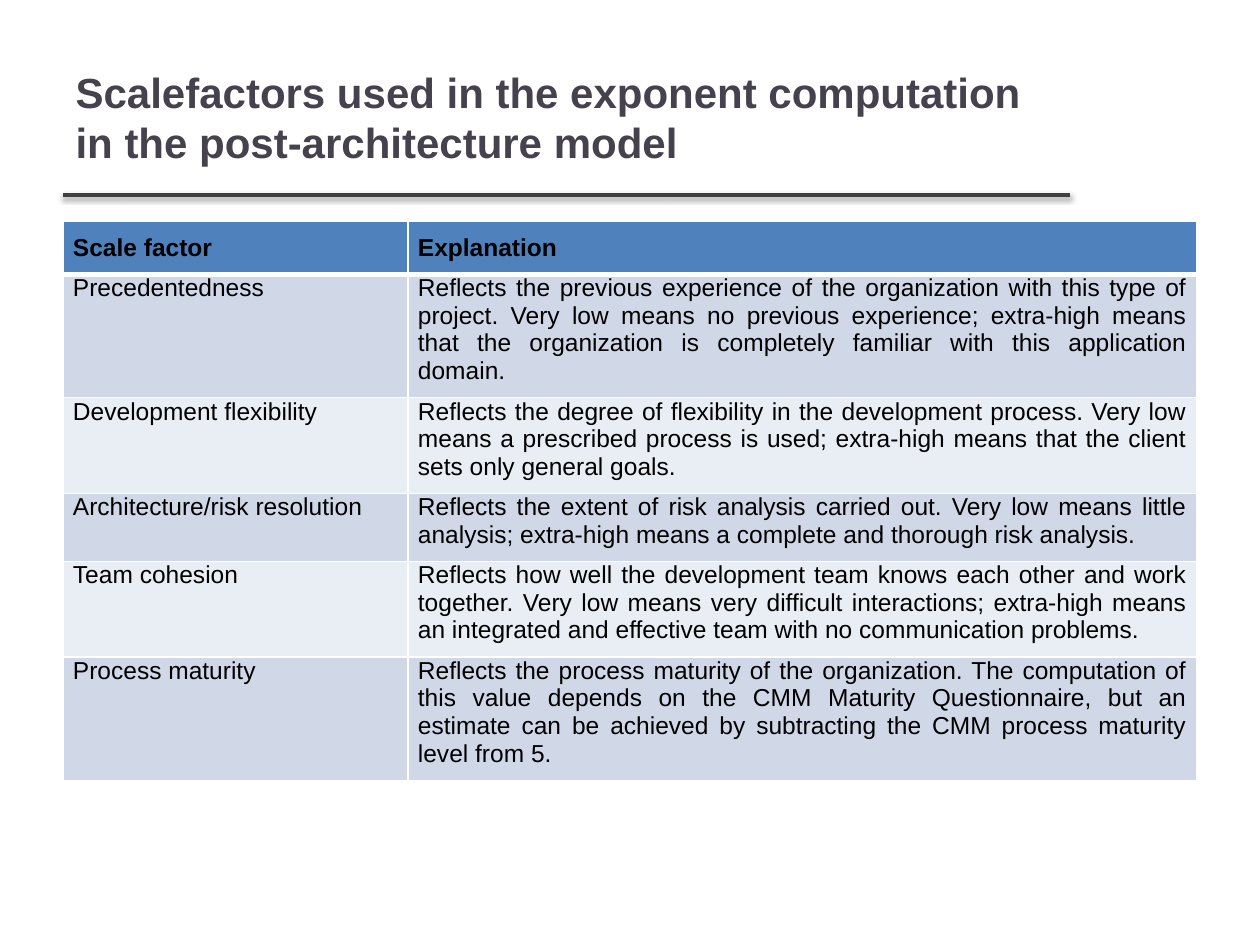
from dataclasses import dataclass

from lxml import etree
from pptx import Presentation
from pptx import util as u
from pptx.dml.color import RGBColor
from pptx.enum import shapes, text
from pptx.oxml import parse_xml
from pptx.oxml.ns import nsdecls, qn

PIXELS_PER_INCH = 126
FONT = "Arial"
LEFT = 63
ROW_HEIGHT = 52
COLUMN_WIDTHS = (345, 789)
HEADER_FILL = "4F81BD"
BAND_FILLS = ("D0D8E8", "E9EDF4")


@dataclass(frozen=True)
class ScaleFactor:
    name: str
    explanation: str


HEADER = ScaleFactor("Scale factor", "Explanation")
FACTORS = (
    ScaleFactor(
        "Precedentedness",
        "Reflects the previous experience of the organization with this type of project. "
        "Very low means no previous experience; extra-high means that the organization is "
        "completely familiar with this application domain.",
    ),
    ScaleFactor(
        "Development flexibility",
        "Reflects the degree of flexibility in the development process. Very low means a "
        "prescribed process is used; extra-high means that the client sets only general goals.",
    ),
    ScaleFactor(
        "Architecture/risk resolution",
        "Reflects the extent of risk analysis carried out. Very low means little analysis; "
        "extra-high means a complete and thorough risk analysis.",
    ),
    ScaleFactor(
        "Team cohesion",
        "Reflects how well the development team knows each other and work together. Very low "
        "means very difficult interactions; extra-high means an integrated and effective team "
        "with no communication problems.",
    ),
    ScaleFactor(
        "Process maturity",
        "Reflects the process maturity of the organization. The computation of this value "
        "depends on the CMM Maturity Questionnaire, but an estimate can be achieved by "
        "subtracting the CMM process maturity level from 5.",
    ),
)


def px(length: int) -> int:
    return round(length * u.Inches(1) / PIXELS_PER_INCH)


def color(value: str) -> RGBColor:
    return RGBColor.from_string(value)


def style(paragraph, size: int, hex_color: str, bold: bool, align) -> None:
    paragraph.alignment = align
    paragraph.font.name = FONT
    paragraph.font.size = u.Pt(size)
    paragraph.font.bold = bold
    paragraph.font.color.rgb = color(hex_color)


def set_borders(cell, top: int, bottom: int) -> None:
    properties = cell._tc.get_or_add_tcPr()
    widths = {"lnL": 1, "lnR": 1, "lnT": top, "lnB": bottom}
    for position, (side, width) in enumerate(widths.items()):
        border = parse_xml(
            f'<a:{side} {nsdecls("a")} w="{u.Pt(width)}"><a:solidFill>'
            f'<a:srgbClr val="FFFFFF"/></a:solidFill></a:{side}>'
        )
        properties.insert(position, border)


def add_title(slide, wording: str) -> None:
    title = slide.shapes.title
    title.left, title.top, title.width, title.height = map(px, (LEFT, 38, 1006, 157))
    frame = title.text_frame
    frame.text = wording
    frame.word_wrap = True
    frame.auto_size = text.MSO_AUTO_SIZE.NONE
    frame.vertical_anchor = text.MSO_ANCHOR.MIDDLE
    style(frame.paragraphs[0], 24, "46424D", True, text.PP_ALIGN.LEFT)


def add_title_rule(slide) -> None:
    rule = slide.shapes.add_connector(
        shapes.MSO_CONNECTOR.STRAIGHT, px(LEFT), px(195), px(1070), px(195)
    )
    rule.line.color.rgb = color("404040")
    rule.line.width = u.Pt(2)
    effects = etree.SubElement(rule._element.spPr, qn("a:effectLst"))
    shadow = etree.SubElement(
        effects, qn("a:outerShdw"), blurRad=str(u.Pt(3.1)), dist=str(u.Pt(1.6)),
        dir="5400000", rotWithShape="0",
    )
    shade = etree.SubElement(shadow, qn("a:srgbClr"), val="000000")
    etree.SubElement(shade, qn("a:alpha"), val="38000")


def add_factor_table(slide) -> None:
    entries = (HEADER, *FACTORS)
    frame = slide.shapes.add_table(
        len(entries), len(COLUMN_WIDTHS), px(LEFT), px(221), px(sum(COLUMN_WIDTHS)), px(558)
    )
    table = frame.table
    for column, width in zip(table.columns, COLUMN_WIDTHS):
        column.width = px(width)
    for index, entry in enumerate(entries):
        is_header = index == 0
        table.rows[index].height = px(ROW_HEIGHT)
        fill = HEADER_FILL if is_header else BAND_FILLS[(index - 1) % 2]
        for cell, wording in zip(table.rows[index].cells, (entry.name, entry.explanation)):
            cell.text = wording
            cell.margin_left = cell.margin_right = px(10)
            cell.margin_top = px(13 if is_header else 0)
            cell.margin_bottom = px(13)
            cell.fill.solid()
            cell.fill.fore_color.rgb = color(fill)
            set_borders(cell, 3 if index == 1 else 1, 3 if is_header else 1)
            style(
                cell.text_frame.paragraphs[0], 14, "000000", is_header, text.PP_ALIGN.JUSTIFY
            )
    frame.height = px(558)


def main() -> None:
    deck = Presentation()
    deck.slide_width, deck.slide_height = px(1260), px(945)
    slide = deck.slides.add_slide(deck.slide_layouts.get_by_name("Title Only"))
    add_title_rule(slide)
    add_title(
        slide,
        "Scalefactors used in the exponent computation in the post-architecture model",
    )
    add_factor_table(slide)
    deck.save("out.pptx")


main()
